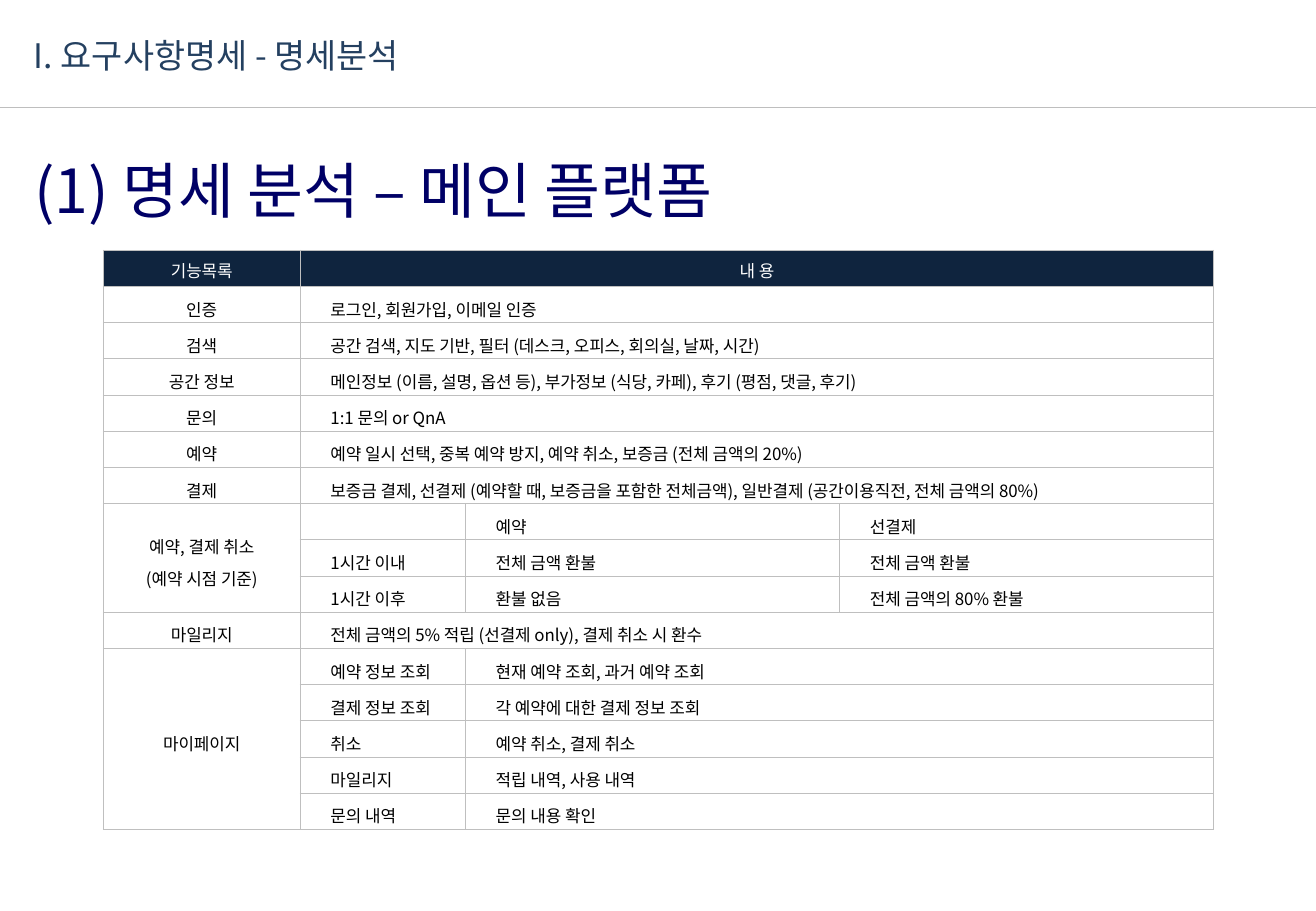
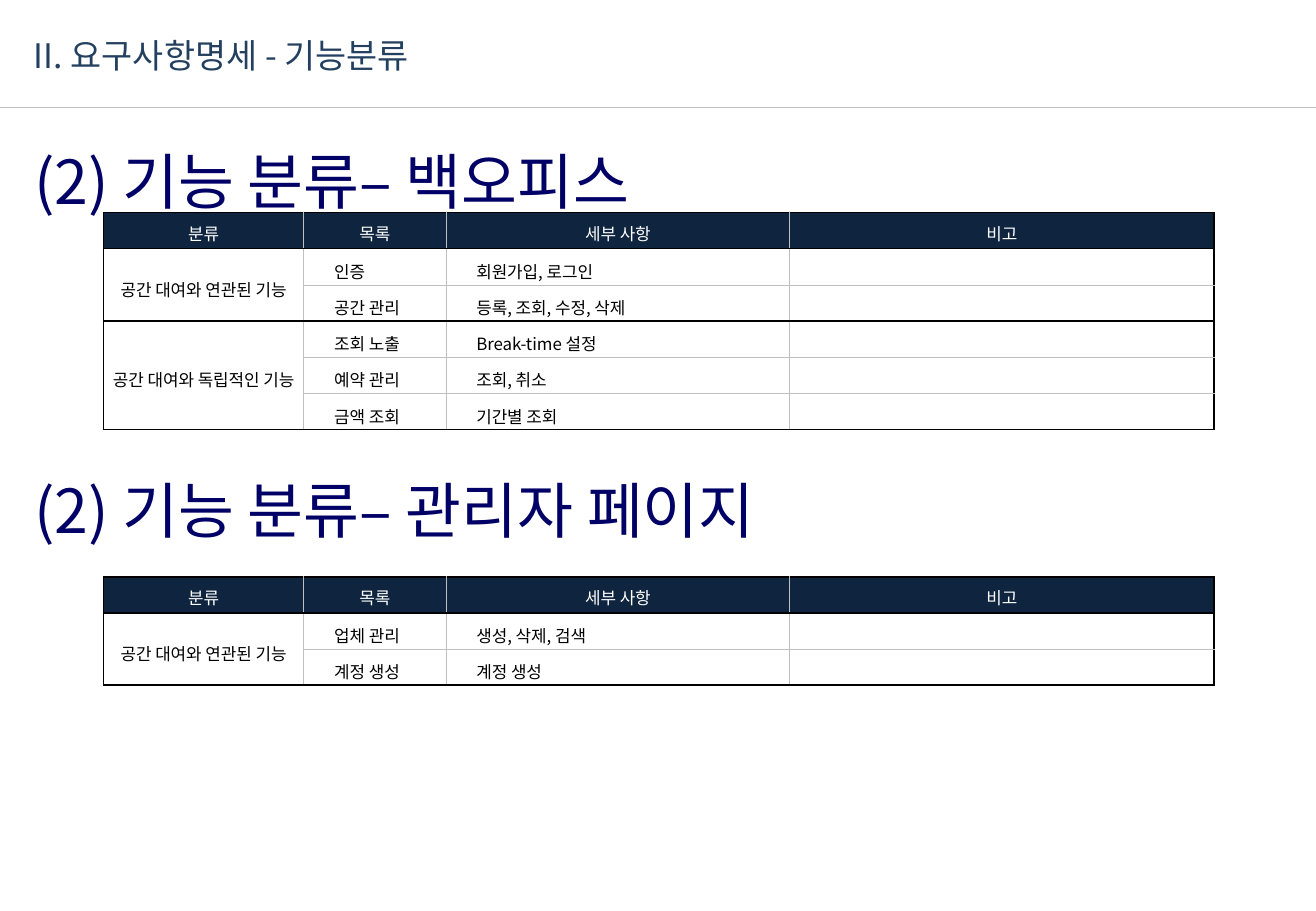
import pptx
import pptx.util
import pptx.dml.color
import pptx.enum.text
import pptx.enum.shapes
import pptx.oxml.ns
from lxml import etree

Inches, Pt = pptx.util.Inches, pptx.util.Pt
qn = pptx.oxml.ns.qn
ALIGN = pptx.enum.text.PP_ALIGN
ANCHOR = pptx.enum.text.MSO_ANCHOR
FONT = "Noto Sans CJK KR"
COLORS = {"top": "244060", "head": "000066", "band": "0F243E", "white": "FFFFFF",
          "text": "000000", "grid": "BFBFBF", "rule": "BEBEBE"}
PLAIN = "{2D5ABB26-0587-4C30-8999-92F81FD0307C}"
LEFT, WIDE, TALL = 0.85, 10.83, 7.5
UP, SIDE = "^", "<"

MAIN = [
    ["기능목록", "내 용", SIDE, SIDE],
    ["인증", "로그인, 회원가입, 이메일 인증", SIDE, SIDE],
    ["검색", "공간 검색, 지도 기반, 필터 (데스크, 오피스, 회의실, 날짜, 시간)", SIDE, SIDE],
    ["공간 정보", "메인정보 (이름, 설명, 옵션 등), 부가정보 (식당, 카페), 후기 (평점, 댓글, 후기)",
     SIDE, SIDE],
    ["문의", "1:1 문의 or QnA", SIDE, SIDE],
    ["예약", "예약 일시 선택, 중복 예약 방지, 예약 취소, 보증금 (전체 금액의 20%)", SIDE, SIDE],
    ["결제", "보증금 결제, 선결제 (예약할 때, 보증금을 포함한 전체금액), "
     "일반결제 (공간이용직전, 전체 금액의 80%)", SIDE, SIDE],
    ["예약, 결제 취소\n(예약 시점 기준)", "", "예약", "선결제"],
    [UP, "1시간 이내", "전체 금액 환불", "전체 금액 환불"],
    [UP, "1시간 이후", "환불 없음", "전체 금액의 80% 환불"],
    ["마일리지", "전체 금액의 5% 적립 (선결제 only), 결제 취소 시 환수", SIDE, SIDE],
    ["마이페이지", "예약 정보 조회", "현재 예약 조회, 과거 예약 조회", SIDE],
    [UP, "결제 정보 조회", "각 예약에 대한 결제 정보 조회", SIDE],
    [UP, "취소", "예약 취소, 결제 취소", SIDE],
    [UP, "마일리지", "적립 내역, 사용 내역", SIDE],
    [UP, "문의 내역", "문의 내용 확인", SIDE],
]
NAMES = ["분류", "목록", "세부 사항", "비고"]
OFFICE = [
    NAMES,
    ["공간 대여와 연관된 기능", "인증", "회원가입, 로그인", ""],
    [UP, "공간 관리", "등록, 조회, 수정, 삭제", ""],
    ["공간 대여와 독립적인 기능", "조회 노출", "Break-time 설정", ""],
    [UP, "예약 관리", "조회, 취소", ""],
    [UP, "금액 조회", "기간별 조회", ""],
]
ADMIN = [
    NAMES,
    ["공간 대여와 연관된 기능", "업체 관리", "생성, 삭제, 검색", ""],
    [UP, "계정 생성", "계정 생성", ""],
]
MAIN_COLS = [1.62, 1.36, 3.08, 3.08]
SORT_COLS = [1.65, 1.17, 2.83, 3.49]

SLIDES = [
    ("I. 요구사항명세 - 명세분석", [
        {"head": "(1) 명세 분석 – 메인 플랫폼", "y": 1.25, "wide": 6.89,
         "rows": MAIN, "cols": MAIN_COLS, "top": 2.06, "tall": 4.77, "bold": False}]),
    ("II. 요구사항명세 - 기능분류", [
        {"head": "(2) 기능 분류– 백오피스", "y": 1.17, "wide": 9.22,
         "rows": OFFICE, "cols": SORT_COLS, "top": 1.75, "tall": 1.79, "bold": True},
        {"head": "(2) 기능 분류– 관리자 페이지", "y": 3.88, "wide": 9.22,
         "rows": ADMIN, "cols": SORT_COLS, "top": 4.75, "tall": 0.89, "bold": True}]),
]


def rgb(name):
    return pptx.dml.color.RGBColor.from_string(COLORS[name])


def style(para, size, color):
    para.font.size = Pt(size)
    para.font.name = FONT
    para.font.color.rgb = rgb(color)
    look = para._p.pPr.find(qn("a:defRPr"))
    etree.SubElement(look, qn("a:ea"), typeface=FONT)


def add_text(slide, text, box, size, color):
    shape = slide.shapes.add_textbox(*map(Inches, box))
    frame = shape.text_frame
    frame.word_wrap = True
    frame.auto_size = pptx.enum.text.MSO_AUTO_SIZE.SHAPE_TO_FIT_TEXT
    frame.margin_left = frame.margin_right = frame.margin_bottom = 0
    frame.margin_top = Inches(0.01)
    frame.text = text
    style(frame.paragraphs[0], size, color)


def add_rule(slide):
    line = slide.shapes.add_connector(pptx.enum.shapes.MSO_CONNECTOR.STRAIGHT,
                                      0, Inches(0.88), Inches(WIDE), Inches(0.88))
    line.line.color.rgb = rgb("rule")
    line.line.width = Pt(0.25)
    etree.SubElement(line._element.spPr, qn("a:effectLst"))


def add_edge(cell, side, dark):
    width = Pt(1) if dark else Pt(0.5)
    line = etree.SubElement(cell._tc.get_or_add_tcPr(), qn("a:ln" + side), w=str(width))
    fill = etree.SubElement(line, qn("a:solidFill"))
    etree.SubElement(fill, qn("a:srgbClr"), val=COLORS["text" if dark else "grid"])


def span(rows, r, c):
    down, right = 1, 1
    while r + down < len(rows) and rows[r + down][c] == UP:
        down += 1
    while c + right < len(rows[r]) and rows[r][c + right] == SIDE:
        right += 1
    return down, right


def fill_cell(cell, text, r, c):
    head = r == 0
    cell.margin_left = Inches(0 if head or c == 0 else 0.25)
    cell.margin_right = cell.margin_bottom = 0
    cell.margin_top = Inches(0.04 if head else 0.07)
    cell.vertical_anchor = ANCHOR.MIDDLE
    if head:
        cell.fill.solid()
        cell.fill.fore_color.rgb = rgb("band")
    else:
        cell.fill.background()
    cell.text = "" if text in (UP, SIDE) else text
    for i, para in enumerate(cell.text_frame.paragraphs):
        para.alignment = ALIGN.CENTER if head or c == 0 else ALIGN.LEFT
        if i:
            para.space_before = Pt(4.8)
        style(para, 10, "white" if head else "text")
        if not para.text:
            etree.SubElement(para._p, qn("a:endParaRPr"), sz="1000")


def add_grid(slide, rows, cols, top, tall, bold):
    count = len(rows)
    frame = slide.shapes.add_table(count, len(cols), Inches(LEFT), Inches(top),
                                   Inches(sum(cols)), Inches(tall))
    table = frame.table
    table.first_row = table.horz_banding = False
    table._tbl.tblPr.find(qn("a:tableStyleId")).text = PLAIN
    for col, width in zip(table.columns, cols):
        col.width = Inches(width)
    for row in table.rows:
        row.height = Inches(tall / count)
    dark_x = {0, len(cols)} if bold else set()
    dark_y = {r for r in range(count) if rows[r][0] != UP} | {count} if bold else set()
    for r, row in enumerate(rows):
        for c, text in enumerate(row):
            cell = table.cell(r, c)
            down, right = span(rows, r, c)
            if text != SIDE:
                add_edge(cell, "L", c in dark_x)
            if c + right == len(row) or row[c + right] != SIDE:
                add_edge(cell, "R", c + right in dark_x)
            if text != UP:
                add_edge(cell, "T", r in dark_y)
            if text != UP or r + 1 == count or rows[r + 1][c] != UP:
                add_edge(cell, "B", r + down in dark_y)
            fill_cell(cell, text, r, c)
            if text not in (UP, SIDE) and down * right > 1:
                cell.merge(table.cell(r + down - 1, c + right - 1))


def main():
    deck = pptx.Presentation()
    deck.slide_width, deck.slide_height = Inches(WIDE), Inches(TALL)
    for title, parts in SLIDES:
        slide = deck.slides.add_slide(deck.slide_layouts[6])
        add_rule(slide)
        add_text(slide, title, (0.28, 0.28, 3.47, 0.35), 20, "top")
        for part in parts:
            add_grid(slide, part["rows"], part["cols"], part["top"], part["tall"], part["bold"])
            add_text(slide, part["head"], (0.28, part["y"], part["wide"], 0.62), 36, "head")
    deck.save("out.pptx")


if __name__ == "__main__":
    main()
